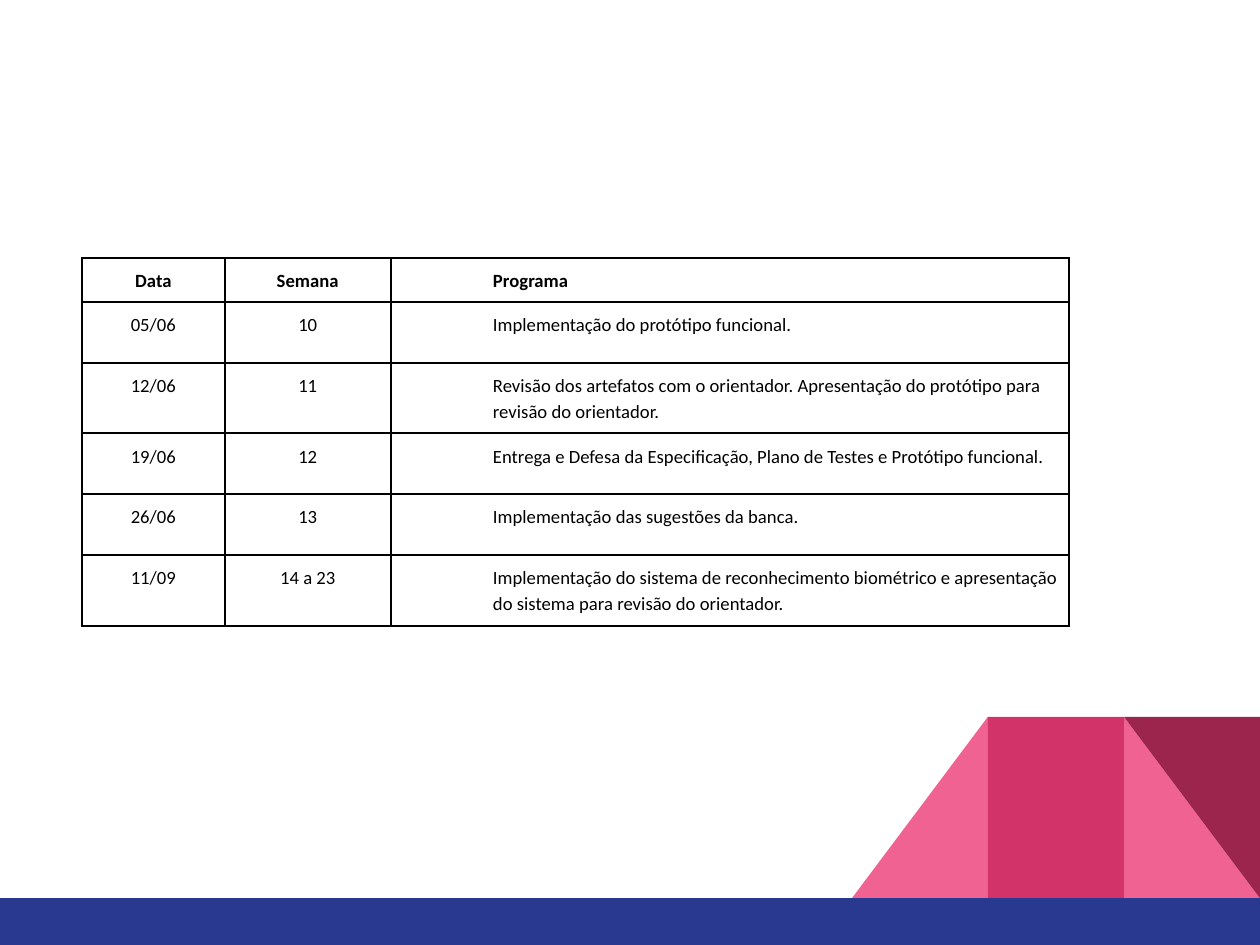
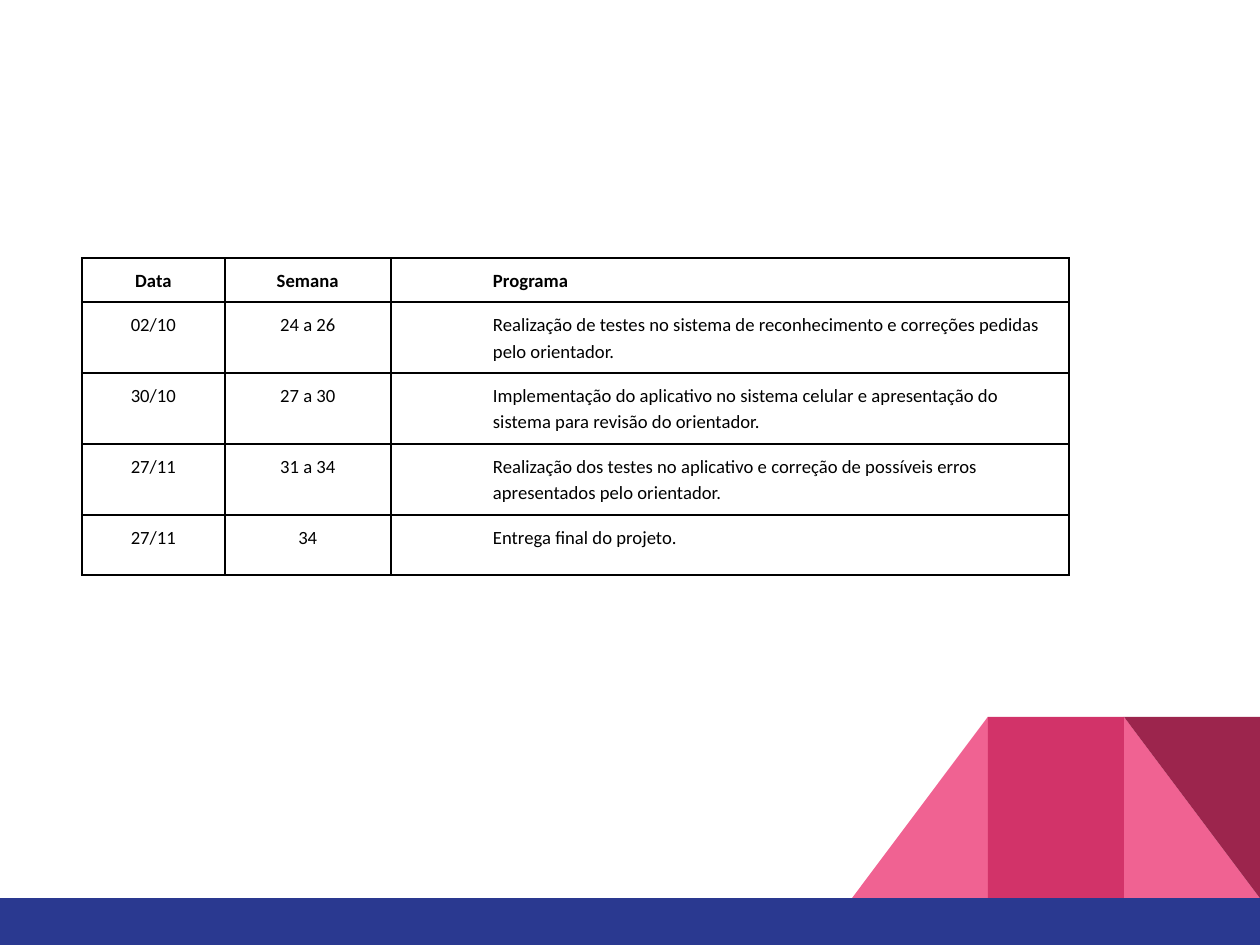
from dataclasses import dataclass

from lxml import etree
from pptx import Presentation
from pptx.dml.color import RGBColor
from pptx.enum.shapes import MSO_SHAPE
from pptx.enum.text import PP_ALIGN
from pptx.oxml.ns import qn
from pptx.slide import Slide
from pptx.table import _Cell
from pptx.util import Pt

BOX = MSO_SHAPE.RECTANGLE
WEDGE = MSO_SHAPE.RIGHT_TRIANGLE
MID = PP_ALIGN.CENTER
LEFT = PP_ALIGN.LEFT


@dataclass(frozen=True)
class Theme:
    font: str = "Calibri"
    size: float = 8
    ink: str = "000000"
    paper: str = "FFFFFF"
    pink: str = "F06292"
    rose: str = "D23369"
    wine: str = "9C254D"
    navy: str = "2A3990"


@dataclass(frozen=True)
class Part:
    kind: MSO_SHAPE
    left: float
    top: float
    width: float
    height: float
    fill: str
    turn: float = 0
    flip: bool = False


@dataclass(frozen=True)
class Row:
    date: str
    week: str
    text: str
    height: float


THEME = Theme()
WIDE, HIGH = 540, 405
BAND = 20
TILE, RISE = 58.3, 77.8
FLOOR = HIGH - BAND
PEAK = FLOOR - RISE

PARTS = (
    Part(WEDGE, WIDE - TILE, PEAK, TILE, RISE, THEME.pink),
    Part(WEDGE, WIDE - 3 * TILE, PEAK, TILE, RISE, THEME.pink, flip=True),
    Part(BOX, WIDE - 2 * TILE, PEAK, TILE, RISE, THEME.rose),
    Part(WEDGE, WIDE - TILE, PEAK, TILE, RISE, THEME.wine, turn=180),
    Part(BOX, 0, FLOOR, WIDE, BAND, THEME.navy),
)

GRID_X, GRID_Y = 35.1, 110.6
COLS = (61.3, 71.1, 290.6)
INSET, INDENT = 3.6, 40.2
RULE = 1
HEAD, ONE, TWO = 18.8, 26, 30.4

TITLES = Row("Data", "Semana", "Programa", HEAD)
PLANS = (
    (
        Row("05/06", "10", "Implementação do protótipo funcional.", ONE),
        Row("12/06", "11", "Revisão dos artefatos com o orientador. "
            "Apresentação do protótipo para revisão do orientador.", TWO),
        Row("19/06", "12", "Entrega e Defesa da Especificação, "
            "Plano de Testes e Protótipo funcional.", ONE),
        Row("26/06", "13", "Implementação das sugestões da banca.", ONE),
        Row("11/09", "14 a 23", "Implementação do sistema de reconhecimento biométrico "
            "e apresentação do sistema para revisão do orientador.", TWO),
    ),
    (
        Row("02/10", "24 a 26", "Realização de testes no sistema de reconhecimento "
            "e correções pedidas pelo orientador.", TWO),
        Row("30/10", "27 a 30", "Implementação do aplicativo no sistema celular "
            "e apresentação do sistema para revisão do orientador.", TWO),
        Row("27/11", "31 a 34", "Realização dos testes no aplicativo e correção de "
            "possíveis erros apresentados pelo orientador.", TWO),
        Row("27/11", "34", "Entrega final do projeto.", ONE),
    ),
)


def tint(code: str) -> RGBColor:
    return RGBColor.from_string(code)


def draw_base(slide: Slide) -> None:
    slide.background.fill.solid()
    slide.background.fill.fore_color.rgb = tint(THEME.paper)
    group = slide.shapes.add_group_shape()
    for part in PARTS:
        shape = group.shapes.add_shape(
            part.kind, Pt(part.left), Pt(part.top), Pt(part.width), Pt(part.height))
        shape.shadow.inherit = False
        shape.fill.solid()
        shape.fill.fore_color.rgb = tint(part.fill)
        shape.line.fill.background()
        shape.rotation = part.turn
        if part.flip:
            shape.element.spPr.find(qn("a:xfrm")).set("flipH", "1")


def add_rules(cell: _Cell) -> None:
    props = cell._tc.get_or_add_tcPr()
    for spot, side in enumerate("LRTB"):
        line = etree.Element(qn(f"a:ln{side}"), w=str(Pt(RULE)))
        fill = etree.SubElement(line, qn("a:solidFill"))
        etree.SubElement(fill, qn("a:srgbClr"), val=THEME.ink)
        props.insert(spot, line)


def fill_cell(cell: _Cell, text: str, bold: bool, inner: bool) -> None:
    cell.margin_left = cell.margin_right = Pt(INSET)
    cell.margin_top = cell.margin_bottom = Pt(INSET)
    cell.fill.background()
    add_rules(cell)
    cell.text = text
    para = cell.text_frame.paragraphs[0]
    para.alignment = LEFT if inner else MID
    para.line_spacing = 1.15
    para.font.name = THEME.font
    para.font.size = Pt(THEME.size)
    para.font.bold = bold
    para.font.color.rgb = tint(THEME.ink)
    if inner:
        props = para._p.get_or_add_pPr()
        props.set("marL", str(Pt(INDENT)))
        props.set("indent", "0")


def draw_plan(slide: Slide, plan: tuple[Row, ...]) -> None:
    rows = (TITLES, *plan)
    table = slide.shapes.add_table(
        len(rows), len(COLS), Pt(GRID_X), Pt(GRID_Y),
        Pt(sum(COLS)), Pt(sum(row.height for row in rows))).table
    table.first_row = table.horz_banding = False
    for col, width in zip(table.columns, COLS):
        col.width = Pt(width)
    for y, row in enumerate(rows):
        table.rows[y].height = Pt(row.height)
        for x, text in enumerate((row.date, row.week, row.text)):
            fill_cell(table.cell(y, x), text, bold=y == 0, inner=x == 2)


def main() -> None:
    deck = Presentation()
    deck.slide_width, deck.slide_height = Pt(WIDE), Pt(HIGH)
    for plan in PLANS:
        slide = deck.slides.add_slide(deck.slide_layouts[6])
        draw_base(slide)
        draw_plan(slide, plan)
    deck.save("out.pptx")


if __name__ == "__main__":
    main()
